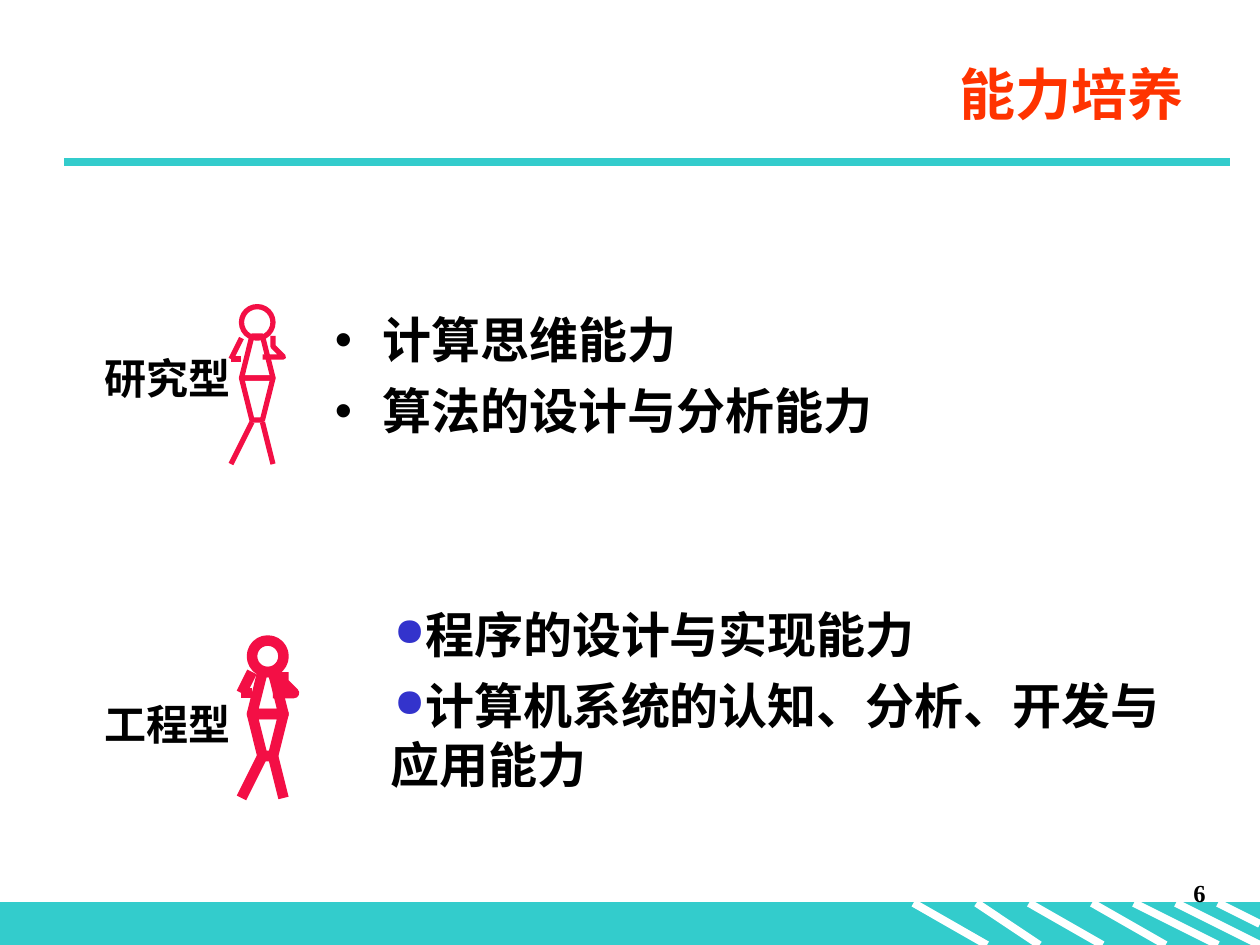
from lxml.etree import SubElement
from pptx import Presentation
from pptx.dml.color import RGBColor
from pptx.enum.shapes import MSO_CONNECTOR, MSO_SHAPE
from pptx.enum.text import MSO_ANCHOR, MSO_AUTO_SIZE, PP_ALIGN
from pptx.oxml.ns import qn
from pptx.util import Inches, Pt

C = {"teal": "33CCCC", "red": "F30F45", "title": "FF3300",
     "black": "000000", "white": "FFFFFF", "blue": "3333CC"}
CJK = "Noto Sans CJK JP"
U = Inches(10) / 120

prs = Presentation()
prs.slide_width, prs.slide_height = int(120 * U), int(90 * U)
s = prs.slides.add_slide(prs.slide_layouts[1])


def add_line(x1, y1, x2, y2, color, width):
    c = s.shapes.add_connector(MSO_CONNECTOR.STRAIGHT,
                               *[int(v * U) for v in (x1, y1, x2, y2)])
    c.line.color.rgb = RGBColor.from_string(C[color])
    c.line.width = Pt(width)
    SubElement(c._element.spPr, qn("a:effectLst"))


def write(sp, box, lines, size, font, color="black", align=PP_ALIGN.LEFT,
          bullet=None, inset=(0.1, 0.05)):
    sp.left, sp.top, sp.width, sp.height = [int(v * U) for v in box]
    tf = sp.text_frame
    tf.word_wrap = True
    tf.auto_size = MSO_AUTO_SIZE.NONE
    tf.margin_left = tf.margin_right = Inches(inset[0])
    tf.margin_top = tf.margin_bottom = Inches(inset[1])
    for i, text in enumerate(lines):
        p = tf.paragraphs[0] if i == 0 else tf.add_paragraph()
        p.alignment = align
        p.space_before = Pt(7 if i else 0)
        if bullet:
            char, hue, scale, left, indent = bullet
            pPr = p._p.get_or_add_pPr()
            pPr.set("marL", str(Inches(left)))
            pPr.set("indent", str(Inches(indent)))
            clr = SubElement(pPr, qn("a:buClr"))
            SubElement(clr, qn("a:srgbClr"), val=C[hue])
            SubElement(pPr, qn("a:buSzPct"), val=str(scale * 1000))
            SubElement(pPr, qn("a:buChar"), char=char)
        r = p.add_run()
        r.text = text
        r.font.size = Pt(size)
        r.font.bold = True
        r.font.name = font
        r.font.color.rgb = RGBColor.from_string(C[color])
        SubElement(r._r.get_or_add_rPr(), qn("a:ea"), typeface=CJK)


band = s.shapes.add_shape(MSO_SHAPE.RECTANGLE, 0, int(86 * U), int(120 * U), int(4 * U))
band.shadow.inherit = False
band.fill.solid()
band.fill.fore_color.rgb = band.line.color.rgb = RGBColor.from_string(C["teal"])
band.line.width = Pt(0.75)
for x1, x2, y2 in [(87, 94, 90), (93, 99, 90), (98, 105, 90), (104, 111, 90),
                   (108, 116, 90), (112, 120, 90), (116, 120, 88)]:
    add_line(x1, 86, x2, y2, "white", 4.5)
add_line(6.1, 15.45, 117.1, 15.45, "teal", 4.5)

title, body = s.shapes.title, s.placeholders[1]
write(title, (31, 3.5, 82.9, 10.7), ["能力培养"], 32, CJK, "title", PP_ALIGN.RIGHT)
title.text_frame.vertical_anchor = MSO_ANCHOR.MIDDLE
write(body, (30.7, 28.9, 61.1, 15), ["计算思维能力", "算法的设计与分析能力"], 28, CJK,
      bullet=("•", "black", 100, 0.38, -0.38))
write(s.shapes.add_textbox(0, 0, 0, 0), (33, 57, 82.9, 19.2),
      ["程序的设计与实现能力", "计算机系统的认知、分析、开发与应用能力"], 28,
      "Times New Roman", bullet=("●", "blue", 80, 0.25, 0.03))

HIPS = [(0, 7), (0.75, 11), (2.25, 11), (3, 7)]
TORSO = [(3, 7), (2.25, 3), (0.75, 3), (0, 7)]
RIGHT_ARM = [(2.6, 3), (3.3, 4), (4, 4.7), (3.3, 5.1), (2.3, 5.2)]
LIMBS = [(1, 11, -1, 15), (2, 11, 3, 15), (-1, 5, 0, 5), (0, 3, -1, 5)]

for label, x, y, width, label_box in [
        ("工程型", 24, 61, 6, (9, 66, 16, 5.8)),
        ("研究型", 23, 29.2, 3, (9, 33.1, 15, 5.8))]:
    parts = [s.shapes.add_shape(MSO_SHAPE.OVAL, int(x * U), int(y * U),
                                int(3 * U), int(3 * U))]
    for pts, closed in [(HIPS, True), (TORSO, True), (RIGHT_ARM, False)]:
        pts = [(x + dx, y + dy) for dx, dy in pts]
        fb = s.shapes.build_freeform(*pts[0], scale=U)
        fb.add_line_segments(pts[1:], close=closed)
        parts.append(fb.convert_to_shape())
    for sp in parts:
        sp.shadow.inherit = False
        sp.fill.background()
        sp.line.color.rgb = RGBColor.from_string(C["red"])
        sp.line.width = Pt(width)
    for x1, y1, x2, y2 in LIMBS:
        add_line(x + x1, y + y1, x + x2, y + y2, "red", width)
    write(s.shapes.add_textbox(0, 0, 0, 0), label_box, [label], 24,
          "Times New Roman", inset=(0.08, 0.04))

write(s.shapes.add_textbox(0, 0, 0, 0), (91, 83, 25, 6), ["6"], 14,
      "Times New Roman", align=PP_ALIGN.RIGHT)

prs.save("out.pptx")
